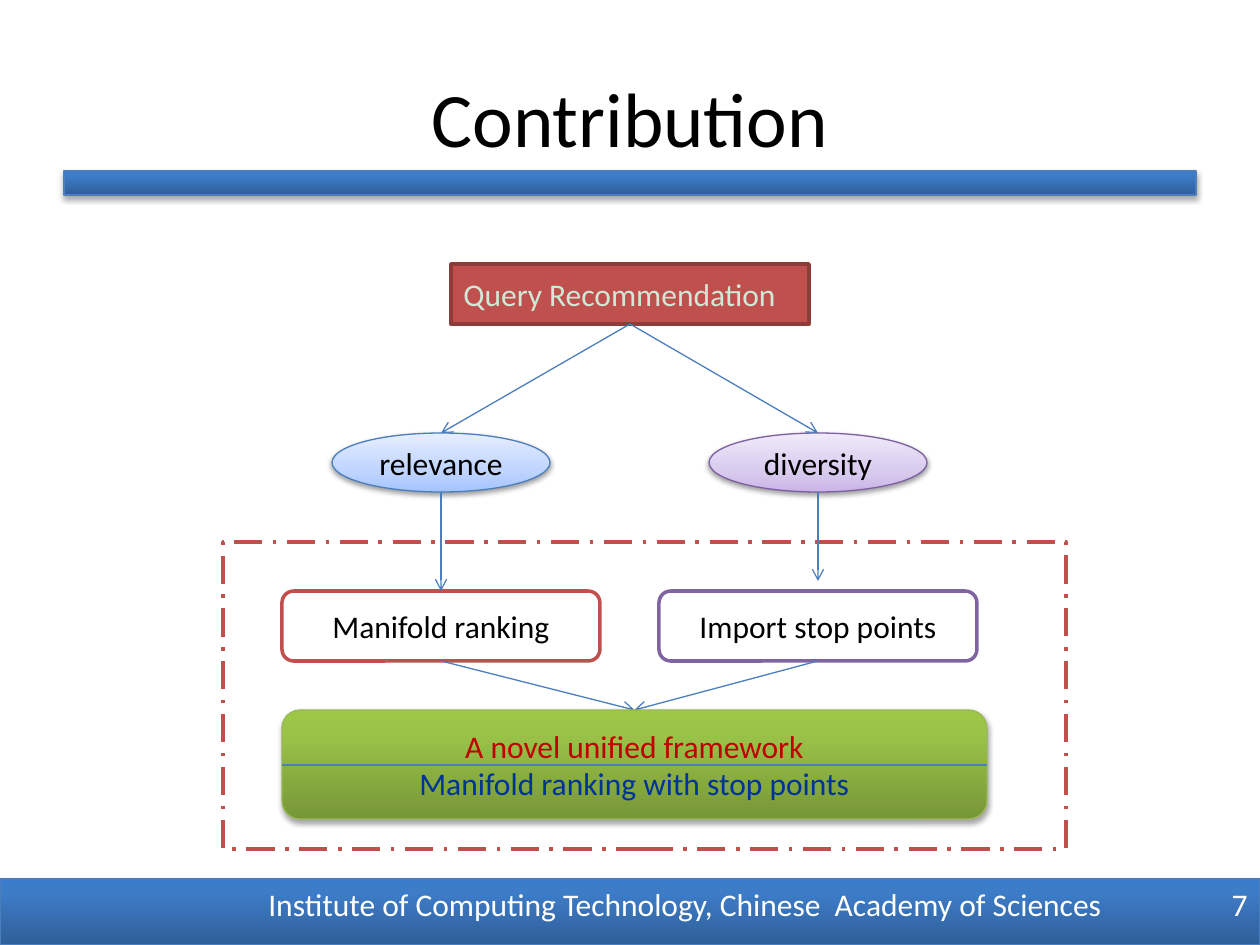
from pptx import Presentation
from pptx.dml.color import RGBColor
from pptx.enum.dml import MSO_LINE
from pptx.enum.shapes import MSO_CONNECTOR, MSO_SHAPE
from pptx.enum.text import MSO_ANCHOR, PP_ALIGN
from pptx.oxml import parse_xml
from pptx.oxml.ns import nsdecls, qn
from pptx.util import Emu, Inches, Pt

RECT, OVAL, ROUND = MSO_SHAPE.RECTANGLE, MSO_SHAPE.OVAL, MSO_SHAPE.ROUNDED_RECTANGLE
LEFT, CENTER, RIGHT = PP_ALIGN.LEFT, PP_ALIGN.CENTER, PP_ALIGN.RIGHT
TOP, MIDDLE = MSO_ANCHOR.TOP, MSO_ANCHOR.MIDDLE
DASH_DOT = MSO_LINE.LONG_DASH_DOT
STRAIGHT = MSO_CONNECTOR.STRAIGHT

SCALE = 914400 / 126
FONT = "Calibri"
BLUE_LINE = "4B7EBC"
WHITE, BLACK, RED, PALE = "FFFFFF", "000000", "C0504D", "CFE9D6"
BLUE_BAR = [(0, "2F5F99"), (80, "3D7CC7"), (100, "3A7CCB")]
BLUE_SOFT = [(0, "A4C4FF"), (35, "BFD4FF"), (100, "E6EEFF")]
PURPLE_SOFT = [(0, "C9B5E8"), (35, "D8CBEE"), (100, "F0EAF9")]
GREEN = [(0, "779737"), (80, "9BC348"), (100, "9DC746")]


def px(*values):
    return [Emu(round(v * SCALE)) for v in values]


def rgb(color):
    return RGBColor.from_string(color)


def write(tf, lines, size=18, align=CENTER, anchor=MIDDLE):
    tf.word_wrap = True
    tf.vertical_anchor = anchor
    for i, (text, color) in enumerate(lines):
        p = tf.add_paragraph() if i else tf.paragraphs[0]
        p.alignment = align
        r = p.add_run()
        r.text = text
        for name, value in {"name": FONT, "size": Pt(size)}.items():
            setattr(r.font, name, value)
        r.font.color.rgb = rgb(color)


def add_gradient(sp, stops):
    sp.fill.gradient()
    grad = sp._element.spPr.find(qn("a:gradFill"))
    gs = "".join(f'<a:gs pos="{pos * 1000}"><a:srgbClr val="{color}"/></a:gs>'
                 for pos, color in stops)
    sp._element.spPr.replace(grad, parse_xml(
        f'<a:gradFill {nsdecls("a")} rotWithShape="1"><a:gsLst>{gs}</a:gsLst>'
        '<a:lin ang="16200000" scaled="0"/></a:gradFill>'))


def add_shadow(sp, dist, alpha):
    sp._element.spPr.find(qn("a:effectLst")).append(parse_xml(
        f'<a:outerShdw {nsdecls("a")} blurRad="40000" dist="{dist}" dir="5400000" '
        f'rotWithShape="0"><a:srgbClr val="000000"><a:alpha val="{alpha}000"/>'
        '</a:srgbClr></a:outerShdw>'))


def add_box(s, kind, box, fill, line, width=0.75, shadow=(23000, 35)):
    sp = s.shapes.add_shape(kind, *px(*box))
    sp.line.color.rgb = rgb(line)
    sp.line.width = Pt(width)
    sp.shadow.inherit = False
    if isinstance(fill, str):
        sp.fill.solid()
        sp.fill.fore_color.rgb = rgb(fill)
    else:
        add_gradient(sp, fill)
        add_shadow(sp, *shadow)
    return sp


def add_line(s, start, end, arrow=True):
    c = s.shapes.add_connector(STRAIGHT, *px(*start, *end))
    c.line.color.rgb = rgb(BLUE_LINE)
    c.line.width = Pt(0.75)
    if arrow:
        c.line._get_or_add_ln().append(parse_xml(f'<a:tailEnd {nsdecls("a")} type="arrow"/>'))
    c._element.spPr.append(parse_xml(f'<a:effectLst {nsdecls("a")}/>'))


def header(s, x, y, w, h):
    add_box(s, RECT, (x + 1, y + 133, w - 2, 24), BLUE_BAR, BLUE_LINE)
    title = s.shapes.title
    frame = dict(zip(("left", "top", "width", "height"), px(x, y, w, h)))
    for name, value in frame.items():
        setattr(title, name, value)
    write(title.text_frame, [("Contribution", BLACK)], 44)


def footer(s, x, y, w, h):
    bar = add_box(s, RECT, (x, y, w, h), BLUE_BAR, BLUE_LINE)
    bar.text_frame.margin_right = px(158)[0]
    write(bar.text_frame,
          [("Institute of Computing Technology, Chinese  Academy of Sciences", WHITE)],
          align=RIGHT, anchor=TOP)
    number = s.shapes.add_textbox(*px(x + w - 80, y, 80, h))
    write(number.text_frame, [("7", WHITE)], align=RIGHT, anchor=TOP)


def diagram(s, x, y, w, h):
    frame = add_box(s, RECT, (x, y + 278, w, h - 278), WHITE, RED, 2)
    frame.line.dash_style = DASH_DOT

    query_x = x + 407
    query = add_box(s, RECT, (query_x - 179, y, 358, 60), RED, "8E3B39", 2)
    write(query.text_frame, [("Query Recommendation", PALE)], align=LEFT)

    result_x, result_y, result_w = x + 59, y + 446, 705
    merge = (result_x + result_w / 2, result_y)
    columns = [
        ("relevance", BLUE_SOFT, BLUE_LINE, "Manifold ranking", RED, 327),
        ("diversity", PURPLE_SOFT, "7D60A0", "Import stop points", "8064A2", 317),
    ]
    for i, (goal, fill, line, method, border, arrow_end) in enumerate(columns):
        cx = x + 218 + 377 * i
        oval = add_box(s, OVAL, (cx - 109, y + 169, 218, 59), fill, line, shadow=(20000, 38))
        write(oval.text_frame, [(goal, BLACK)])
        step = add_box(s, ROUND, (cx - 159, y + 327, 318, 70), WHITE, border, 2)
        write(step.text_frame, [(method, BLACK)])
        add_line(s, (query_x, y + 60), (cx, y + 169))
        add_line(s, (cx, y + 228), (cx, y + arrow_end))
        add_line(s, (cx, y + 397), merge)

    result = add_box(s, ROUND, (result_x, result_y, result_w, 109), GREEN, "98B955")
    write(result.text_frame, [("A novel unified framework", "C00000"),
                              ("Manifold ranking with stop points", "003399")])
    middle = result_y + 55
    add_line(s, (result_x, middle), (result_x + result_w, middle), arrow=False)


prs = Presentation()
prs.slide_width, prs.slide_height = Inches(10), Inches(7.5)
s = prs.slides.add_slide(prs.slide_layouts[5])
s.background.fill.solid()
s.background.fill.fore_color.rgb = rgb(WHITE)
header(s, 63, 38, 1134, 158)
diagram(s, 223, 264, 843, 585)
footer(s, 0, 879, 1260, 66)
prs.save("out.pptx")
